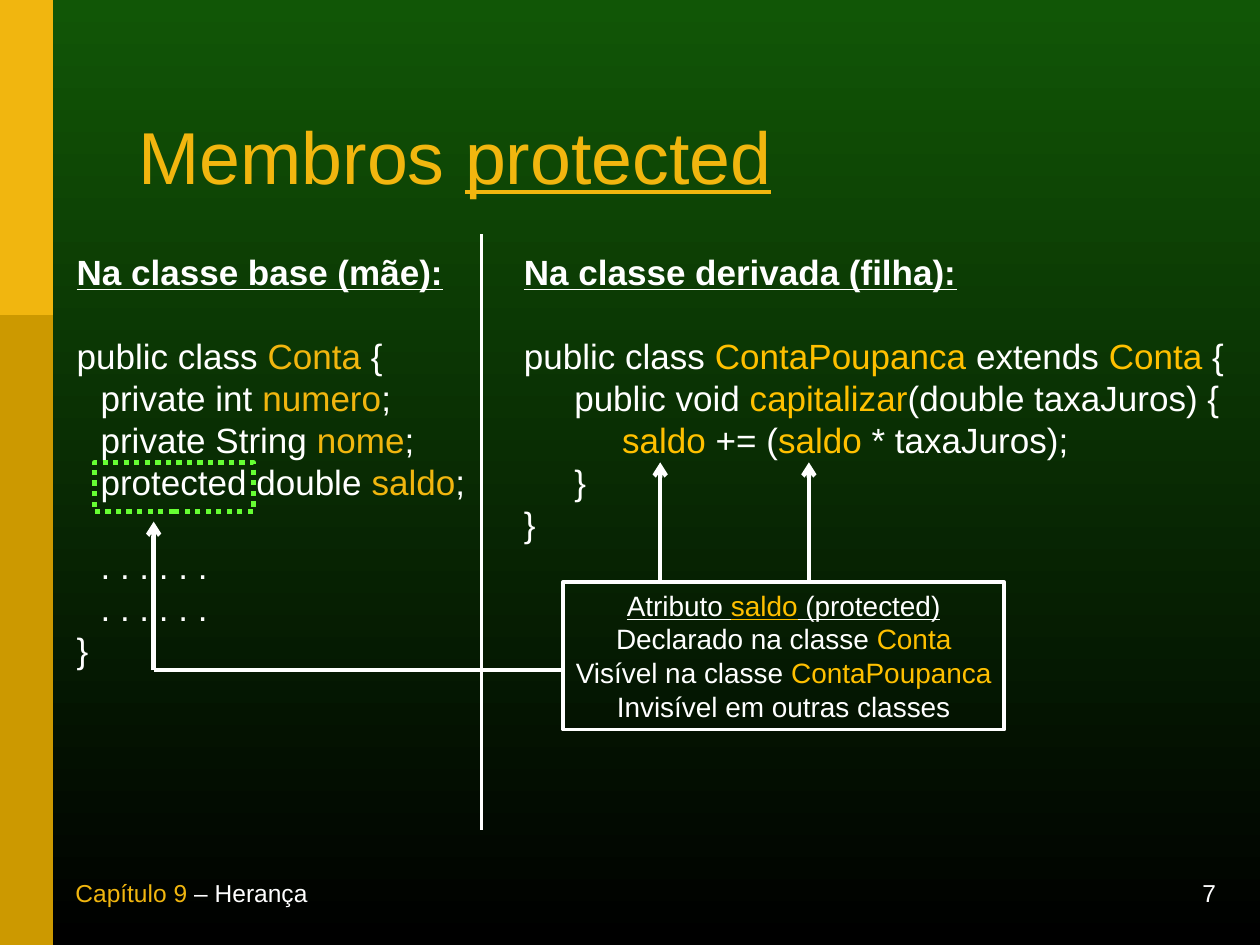
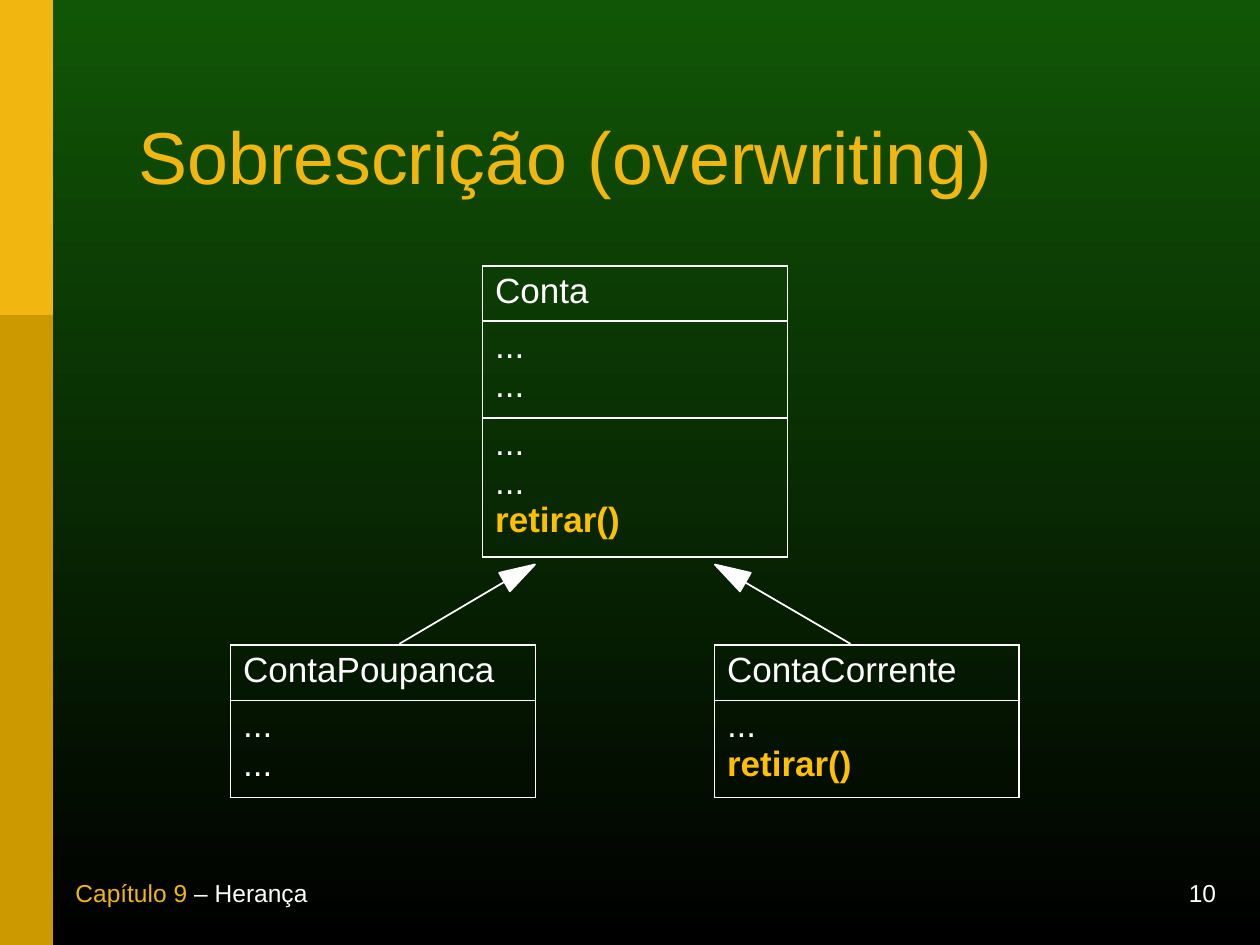
from lxml.etree import SubElement
from pptx import Presentation
from pptx.dml.color import RGBColor
from pptx.enum.dml import MSO_LINE
from pptx.enum.shapes import MSO_CONNECTOR, MSO_SHAPE
from pptx.enum.text import MSO_ANCHOR as ANCHOR, PP_ALIGN as ALIGN
from pptx.oxml.ns import qn
from pptx.util import Inches, Pt

GREEN, BLACK, WHITE = "115606", "000000", "FFFFFF"
GOLD, DARK_GOLD, AMBER, LIME = "F1B60F", "CC9900", "FFC000", "66FF33"
CLASS_WIDTH = 2.42


def rgb(hex_color):
    """Turn a hex string into a colour."""
    return RGBColor.from_string(hex_color)


def inches(*lengths):
    """Turn plain numbers into lengths."""
    return [Inches(length) for length in lengths]


def line(text, indent=0, before=0, **font):
    """Describe one line of text; bars enclose its accented parts."""
    return text, indent, before, font


def style_font(font, values):
    """Set font attributes from a dict of format values."""
    for key, value in values.items():
        if key == "color":
            font.color.rgb = rgb(value)
        else:
            setattr(font, key, value)


def write_lines(frame, lines, size, accent, align=ALIGN.LEFT, spacing=None):
    """Write one paragraph for each line, accenting the parts between bars."""
    for number, (text, indent, before, font) in enumerate(lines):
        paragraph = frame.paragraphs[0] if number == 0 else frame.add_paragraph()
        paragraph.alignment = align
        paragraph.line_spacing = spacing
        paragraph.space_before = Pt(before)
        if indent:
            paragraph._p.get_or_add_pPr().set("marL", str(Inches(indent)))
        base = {"name": "Arial", "size": Pt(size), "color": WHITE, **font}
        for position, part in enumerate(text.split("|")):
            if part:
                run = paragraph.add_run()
                run.text = part
                style_font(run.font, {**base, **(accent if position % 2 else {})})


def add_text(slide, box, lines, size, accent, anchor=ANCHOR.TOP, **layout):
    """Add a wrapping text box."""
    frame = slide.shapes.add_textbox(*inches(*box)).text_frame
    frame.word_wrap = True
    frame.vertical_anchor = anchor
    write_lines(frame, lines, size, accent, **layout)


def add_box(slide, box, fill=None, outline=None, width=1, kind=MSO_SHAPE.RECTANGLE):
    """Add a flat preset shape with an optional fill and outline."""
    shape = slide.shapes.add_shape(kind, *inches(*box))
    shape.shadow.inherit = False
    if fill:
        shape.fill.solid()
        shape.fill.fore_color.rgb = rgb(fill)
    else:
        shape.fill.background()
    if outline:
        shape.line.color.rgb = rgb(outline)
        shape.line.width = Pt(width)
    else:
        shape.line.fill.background()
    return shape


def add_line(slide, start, end, width, arrow=False):
    """Add a straight white line, with an arrowhead at its end if wanted."""
    connector = slide.shapes.add_connector(
        MSO_CONNECTOR.STRAIGHT, *inches(*start, *end))
    connector.line.color.rgb = rgb(WHITE)
    connector.line.width = Pt(width)
    if arrow:
        SubElement(connector.line._get_or_add_ln(), qn("a:tailEnd"), type="arrow")
    SubElement(connector._element.spPr, qn("a:effectLst"))


def add_borders(cell):
    """Draw thin white lines on all sides of a table cell."""
    properties = cell._tc.get_or_add_tcPr()
    for index, side in enumerate(("lnL", "lnR", "lnT", "lnB")):
        border = SubElement(properties, qn(f"a:{side}"), w=str(Pt(1.08)))
        fill = SubElement(border, qn("a:solidFill"))
        SubElement(fill, qn("a:srgbClr"), val=WHITE)
        properties.remove(border)
        properties.insert(index, border)


def add_class(slide, left, top, sections):
    """Add a class diagram box; sections hold a row height and its lines."""
    heights = [height for height, _ in sections]
    table = slide.shapes.add_table(
        len(sections), 1, *inches(left, top, CLASS_WIDTH, sum(heights))).table
    table.first_row = table.horz_banding = False
    for index, (height, texts) in enumerate(sections):
        table.rows[index].height = Inches(height)
        cell = table.cell(index, 0)
        cell.fill.background()
        add_borders(cell)
        write_lines(cell.text_frame, [line(text) for text in texts], 20,
                    {"color": AMBER, "bold": True}, spacing=Pt(22))


def add_inheritance(slide, start, end, head_left, rotation):
    """Add a line with a solid triangle that points at the parent class."""
    head = add_box(slide, (head_left, 4.41, 0.17, 0.28), WHITE, WHITE,
                   kind=MSO_SHAPE.ISOSCELES_TRIANGLE)
    head.rotation = rotation
    add_line(slide, start, end, 1)


def set_background(master):
    """Give all slides a green to black gradient."""
    fill = master.background.fill
    fill.gradient()
    fill.gradient_angle = 270
    for stop, color in zip(fill.gradient_stops, (GREEN, BLACK)):
        stop.color.rgb = rgb(color)


def new_slide(prs, title, number):
    """Add a slide with its side band, footer and title."""
    slide = prs.slides.add_slide(prs.slide_layouts[6])
    gold = {"color": GOLD}
    add_box(slide, (0, 0, 0.42, 7.5), DARK_GOLD)
    add_box(slide, (0, 0, 0.42, 2.5), GOLD)
    add_text(slide, (7.25, 7, 2.5, 0.25), [line(str(number))], 14, gold,
             ANCHOR.BOTTOM, align=ALIGN.RIGHT)
    add_text(slide, (0.5, 7, 4.42, 0.25), [line("|Capítulo 9| – Herança")], 14, gold,
             ANCHOR.BOTTOM)
    add_text(slide, (1, 0.64, 8.24, 1.29), [line(title, color=GOLD)], 42,
             {"underline": True}, ANCHOR.MIDDLE, spacing=0.85)
    return slide


def add_protected_slide(prs):
    """Compare the base and derived classes of a protected member."""
    slide = new_slide(prs, "Membros |protected|", 7)
    heading = {"bold": True, "underline": True}
    base_class = [
        line("Na classe base (mãe):", **heading),
        line("public class |Conta| {", before=24),
        line("private int |numero|;", 0.19),
        line("private String |nome|;", 0.19),
        line("protected double |saldo|;", 0.19),
        line(". . . . . .", 0.19, before=24),
        line(". . . . . .", 0.19),
        line("}"),
    ]
    derived_class = [
        line("Na classe derivada (filha):", **heading),
        line("public class |ContaPoupanca| extends |Conta| {", before=24),
        line("public void |capitalizar|(double taxaJuros) {", 0.4),
        line("|saldo| += (|saldo| * taxaJuros);", 0.78),
        line("}", 0.4),
        line("}"),
    ]
    visibility = [
        line("Atributo |saldo| (protected)", underline=True),
        line("Declarado na classe |Conta|"),
        line("Visível na classe |ContaPoupanca|"),
        line("Invisível em outras classes"),
    ]
    add_text(slide, (0.51, 1.94, 3.31, 3.46), base_class, 20, {"color": GOLD},
             spacing=Pt(24))
    add_text(slide, (4.06, 1.94, 5.83, 2.6), derived_class, 20, {"color": AMBER},
             spacing=Pt(24))
    add_line(slide, (3.82, 1.86), (3.82, 6.59), 1.5)

    keyword = add_box(slide, (0.75, 3.67, 1.26, 0.39), outline=LIME, width=3)
    keyword.line.dash_style = MSO_LINE.ROUND_DOT
    callout = add_box(slide, (4.47, 4.62, 3.5, 1.17), outline=WHITE, width=2.25)
    callout.text_frame.word_wrap = False
    callout.text_frame.vertical_anchor = ANCHOR.TOP
    write_lines(callout.text_frame, visibility, 16, {"color": AMBER},
                ALIGN.CENTER, Pt(19.2))

    add_line(slide, (1.22, 5.32), (1.22, 4.14), 2.5, arrow=True)
    add_line(slide, (4.45, 5.32), (1.22, 5.32), 2.5)
    for use in (5.24, 6.42):
        add_line(slide, (use, 4.62), (use, 3.67), 2.5, arrow=True)


def add_overwriting_slide(prs):
    """Show a method overwritten in one of two subclasses."""
    slide = new_slide(prs, "Sobrescrição (overwriting)", 10)
    add_class(slide, 3.83, 2.11, [
        (0.44, ["Conta"]), (0.77, ["...", "..."]), (1.1, ["...", "...", "|retirar()|"])])
    add_class(slide, 5.67, 5.12, [
        (0.44, ["ContaCorrente"]), (0.77, ["...", "|retirar()|"])])
    add_class(slide, 1.83, 5.12, [
        (0.44, ["ContaPoupanca"]), (0.77, ["...", "..."])])
    add_inheritance(slide, (5.91, 4.62), (6.75, 5.11), 5.71, 300)
    add_inheritance(slide, (4, 4.62), (3.17, 5.11), 4.04, 60)


def main():
    """Build and save the presentation."""
    prs = Presentation()
    prs.slide_width, prs.slide_height = inches(10, 7.5)
    set_background(prs.slide_master)
    add_protected_slide(prs)
    add_overwriting_slide(prs)
    prs.save("out.pptx")


if __name__ == "__main__":
    main()
